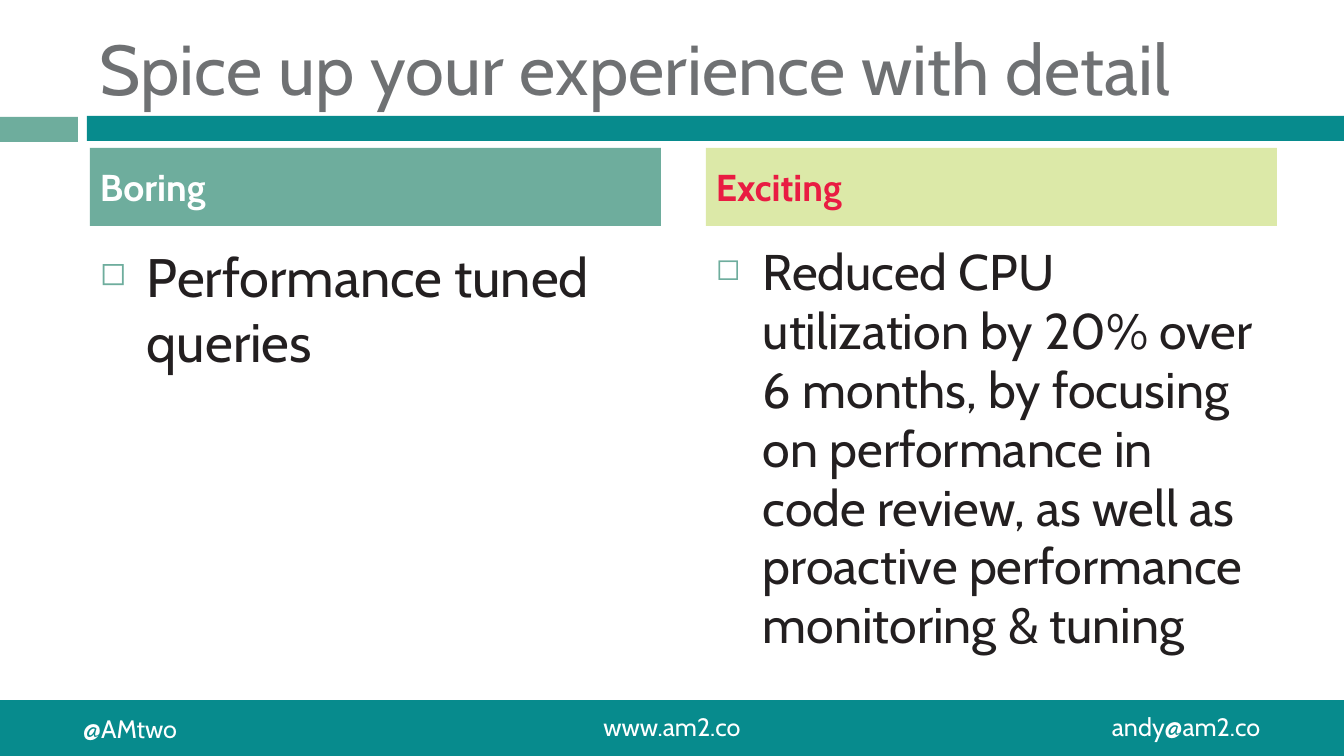
"""Build the slide comparing a boring and an exciting way to describe experience."""
from lxml import etree
from pptx import Presentation
from pptx.dml.color import RGBColor
from pptx.enum.shapes import MSO_SHAPE
from pptx.enum.text import MSO_ANCHOR, PP_ALIGN
from pptx.oxml.ns import qn
from pptx.util import Pt

RECT = MSO_SHAPE.RECTANGLE
TOP, MIDDLE, BOTTOM = MSO_ANCHOR.TOP, MSO_ANCHOR.MIDDLE, MSO_ANCHOR.BOTTOM
LEFT, CENTER = PP_ALIGN.LEFT, PP_ALIGN.CENTER

WHITE = RGBColor(0xFF, 0xFF, 0xFF)
TEAL = RGBColor(0x07, 0x8B, 0x8D)
SAGE = RGBColor(0x6E, 0xAD, 0x9D)
LIME = RGBColor(0xDC, 0xE9, 0xA8)
RED = RGBColor(0xE9, 0x1C, 0x42)
GRAY = RGBColor(0x6F, 0x71, 0x73)
INK = RGBColor(0x23, 0x1F, 0x20)

FONT = "Cabin"
WIDTH, HEIGHT = 1344, 756
EMU_PER_PX = 914400 / 100.8

TITLE = "Spice up your experience with detail"
BARS = [
    ((0, 117, 78, 25), SAGE),
    ((87, 116, WIDTH - 87, 25), TEAL),
    ((0, 700, WIDTH, HEIGHT - 700), TEAL),
]
FOOTER = [
    ("@AMtwo", (73, 708, 131, 40), LEFT),
    ("andy@am2.co", (1102, 706, 186, 40), LEFT),
    ("www.am2.co", (579, 706, 186, 40), CENTER),
]
COLUMNS = [
    ("Boring", SAGE, WHITE, "Performance tuned queries", 38.7, 1.0),
    ("Exciting", LIME, RED,
     "Reduced CPU utilization by 20% over 6 months, by focusing on performance in "
     "code review, as well as proactive performance monitoring & tuning", 35.8, 0.98),
]
COL_LEFT, COL_WIDTH, COL_GAP = 90, 571, 45
HEAD_TOP, HEAD_HEIGHT = 148, 78
BODY_TOP, BODY_HEIGHT = 238, 431
BULLET_INDENT = 47


def px(n):
    return round(n * EMU_PER_PX)


def add_bar(slide, box, color):
    s = slide.shapes.add_shape(RECT, *map(px, box))
    s.shadow.inherit = False
    s.fill.solid()
    s.fill.fore_color.rgb = color
    s.line.fill.background()
    return s


def add_bullet(p, color):
    pPr = p._p.get_or_add_pPr()
    pPr.set("marL", str(px(BULLET_INDENT)))
    pPr.set("indent", str(-px(BULLET_INDENT)))
    clr = etree.SubElement(pPr, qn("a:buClr"))
    etree.SubElement(clr, qn("a:srgbClr"), val=str(color))
    etree.SubElement(pPr, qn("a:buSzPct"), val="60000")
    etree.SubElement(pPr, qn("a:buChar"), char="◻")


def write(s, text, size, color, anchor=TOP, align=LEFT, bold=False, spacing=None, bullet=None):
    tf = s.text_frame
    tf.word_wrap = True
    tf.vertical_anchor = anchor
    p = tf.paragraphs[0]
    p.alignment = align
    p.line_spacing = spacing
    if bullet is not None:
        add_bullet(p, bullet)
    r = p.add_run()
    r.text = text
    for name, value in {"name": FONT, "size": Pt(size), "bold": bold}.items():
        setattr(r.font, name, value)
    r.font.color.rgb = color


def add_text(slide, box, *args, **kwargs):
    write(slide.shapes.add_textbox(*map(px, box)), *args, **kwargs)


def main():
    prs = Presentation()
    prs.slide_width, prs.slide_height = px(WIDTH), px(HEIGHT)
    slide = prs.slides.add_slide(prs.slide_layouts[6])

    for box, color in BARS:
        add_bar(slide, box, color)
    for text, box, align in FOOTER:
        add_text(slide, box, text, 18, WHITE, align=align)
    add_text(slide, (COL_LEFT, 17, 1198, 98), TITLE, 50.4, GRAY, anchor=BOTTOM)

    for i, (head, fill, head_color, body, size, spacing) in enumerate(COLUMNS):
        x = COL_LEFT + i * (COL_WIDTH + COL_GAP)
        s = add_bar(slide, (x, HEAD_TOP, COL_WIDTH, HEAD_HEIGHT), fill)
        write(s, head, 26.7, head_color, anchor=MIDDLE, bold=True)
        add_text(slide, (x, BODY_TOP, COL_WIDTH, BODY_HEIGHT), body, size, INK,
                 spacing=spacing, bullet=SAGE)

    prs.save("out.pptx")


if __name__ == "__main__":
    main()
